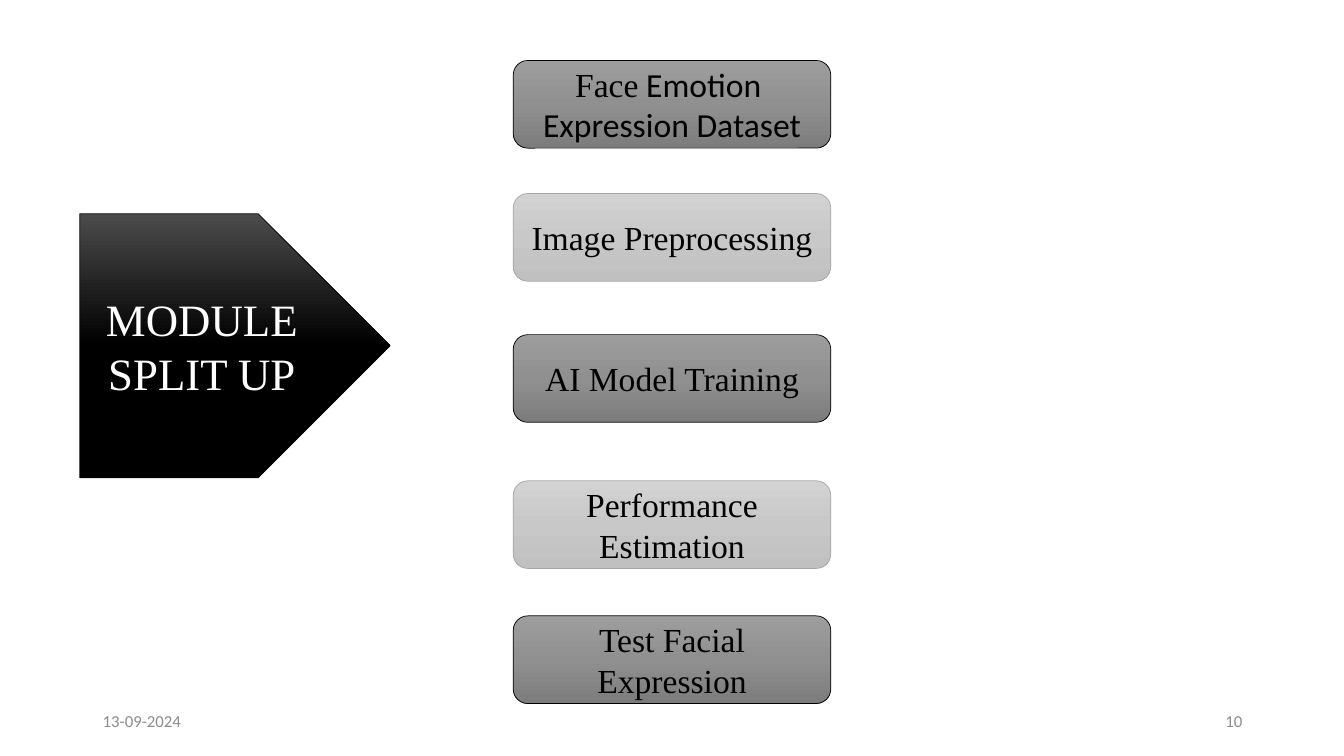
from copy import deepcopy
from dataclasses import dataclass

from pptx import Presentation
from pptx.dml.color import RGBColor
from pptx.enum.shapes import MSO_SHAPE
from pptx.enum.text import MSO_ANCHOR, PP_ALIGN
from pptx.oxml.ns import qn
from pptx.util import Inches, Pt

MODULE_BOX = MSO_SHAPE.FLOWCHART_ALTERNATE_PROCESS
PENTAGON = MSO_SHAPE.PENTAGON
MIDDLE = MSO_ANCHOR.MIDDLE
LEFT, CENTER, RIGHT = PP_ALIGN.LEFT, PP_ALIGN.CENTER, PP_ALIGN.RIGHT
BLANK_LAYOUT = 6


@dataclass(frozen=True)
class Theme:
    serif: str = "Times New Roman"
    sans: str = "Calibri"
    text: str = "000000"
    inverse_text: str = "FFFFFF"
    footer_text: str = "8C8C8C"
    dark_line: str = "000000"
    light_line: str = "A5A5A5"
    dark_fill: tuple = ("9D9D9D", "909090", "7C7C7C")
    light_fill: tuple = ("D2D2D2", "C8C8C8", "C0C0C0")
    heading_fill: tuple = ("4B4B4B", "000000", "000000")
    heading_size: int = 32
    module_size: int = 24
    footer_size: int = 12
    line_width: float = 0.5


THEME = Theme()

MODULES = [
    (0.6, [[("Face", THEME.serif), (" Emotion ", THEME.sans)],
           [("Expression Dataset", THEME.sans)]]),
    (1.92, [[("Image Preprocessing", THEME.serif)]]),
    (3.32, [[("AI Model Training", THEME.serif)]]),
    (4.77, [[("Performance Estimation", THEME.serif)]]),
    (6.11, [[("Test Facial Expression", THEME.serif)]]),
]


def apply_format(target, values):
    for name, value in values.items():
        setattr(target, name, value)


def write_text(shape, lines, size, color, alignment):
    frame = shape.text_frame
    apply_format(frame, {"word_wrap": True, "vertical_anchor": MIDDLE})
    for index, runs in enumerate(lines):
        paragraph = frame.add_paragraph() if index else frame.paragraphs[0]
        paragraph.alignment = alignment
        for text, font_name in runs:
            run = paragraph.add_run()
            run.text = text
            apply_format(run.font, {"name": font_name, "size": Pt(size)})
            run.font.color.rgb = RGBColor.from_string(color)


def fill_gradient(shape, colors):
    shape.fill.gradient()
    shape.fill.gradient_angle = 270
    stop_list = shape.fill._xPr.find(qn("a:gradFill")).find(qn("a:gsLst"))
    stop_list.append(deepcopy(stop_list[-1]))
    for index, (stop, color) in enumerate(zip(shape.fill.gradient_stops, colors)):
        stop.position = index / (len(colors) - 1)
        stop.color.rgb = RGBColor.from_string(color)


def add_block(slide, kind, box, colors, line_color):
    shape = slide.shapes.add_shape(kind, *map(Inches, box))
    shape.shadow.inherit = False
    fill_gradient(shape, colors)
    shape.line.color.rgb = RGBColor.from_string(line_color)
    shape.line.width = Pt(THEME.line_width)
    return shape


def add_footer(slide, left, text, alignment):
    shape = slide.shapes.add_textbox(*map(Inches, (left, 6.95, 3, 0.4)))
    write_text(shape, [[(text, THEME.sans)]], THEME.footer_size,
               THEME.footer_text, alignment)


def add_heading(slide, text):
    shape = add_block(slide, PENTAGON, (0.79, 2.12, 3.08, 2.62),
                      THEME.heading_fill, THEME.dark_line)
    shape.adjustments[0] = 0.5
    write_text(shape, [[(text, THEME.serif)]], THEME.heading_size,
               THEME.inverse_text, CENTER)


def add_modules(slide):
    styles = [(THEME.dark_fill, THEME.dark_line),
              (THEME.light_fill, THEME.light_line)]
    for index, (top, lines) in enumerate(MODULES):
        colors, line_color = styles[index % 2]
        shape = add_block(slide, MODULE_BOX, (5.09, top, 3.15, 0.87),
                          colors, line_color)
        write_text(shape, lines, THEME.module_size, THEME.text, CENTER)


def main():
    presentation = Presentation()
    apply_format(presentation, {"slide_width": Inches(13.33),
                                "slide_height": Inches(7.5)})
    slide = presentation.slides.add_slide(presentation.slide_layouts[BLANK_LAYOUT])
    add_footer(slide, 0.92, "13-09-2024", LEFT)
    add_footer(slide, 9.42, "10", RIGHT)
    add_modules(slide)
    add_heading(slide, "MODULE SPLIT UP")
    presentation.save("out.pptx")


if __name__ == "__main__":
    main()
